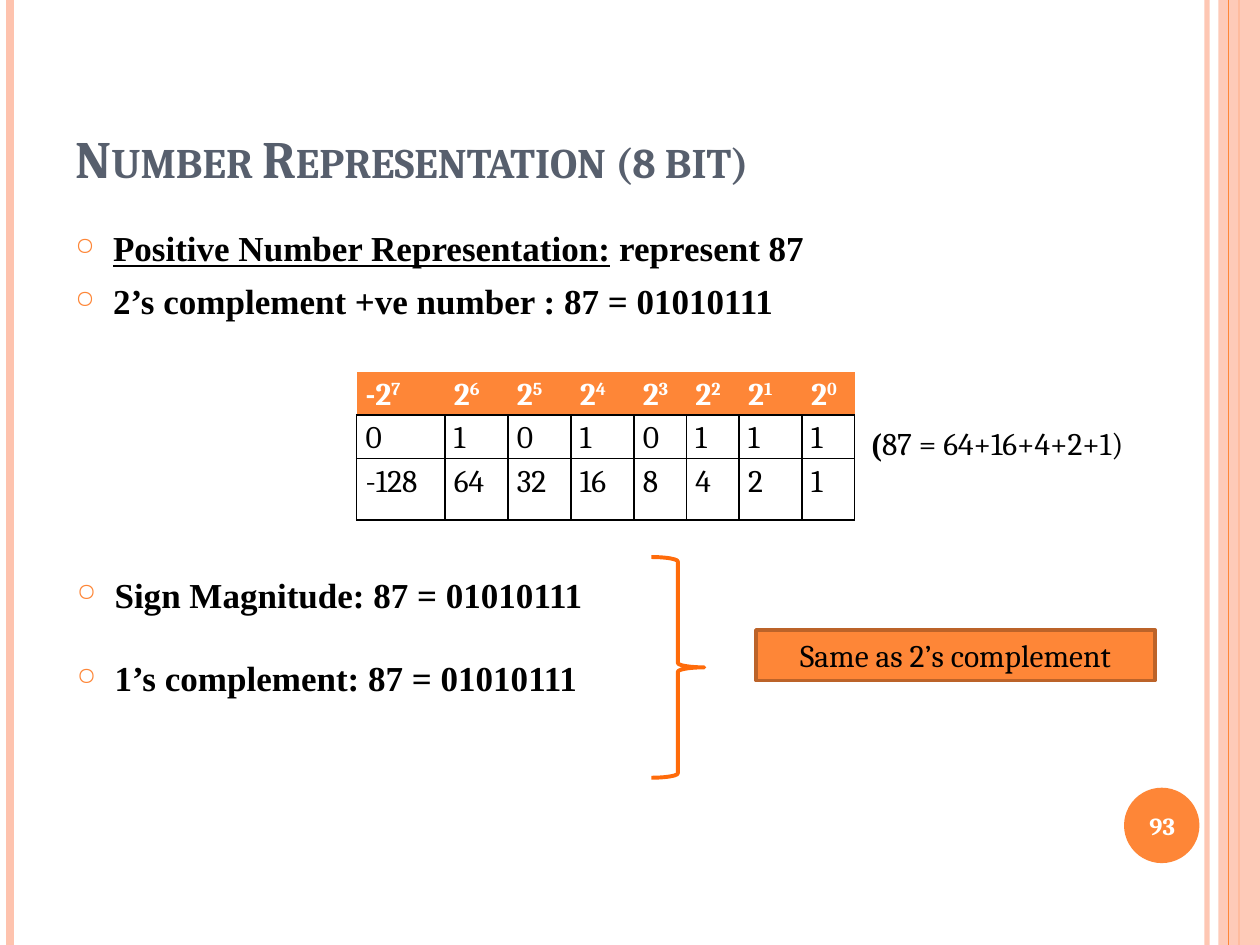
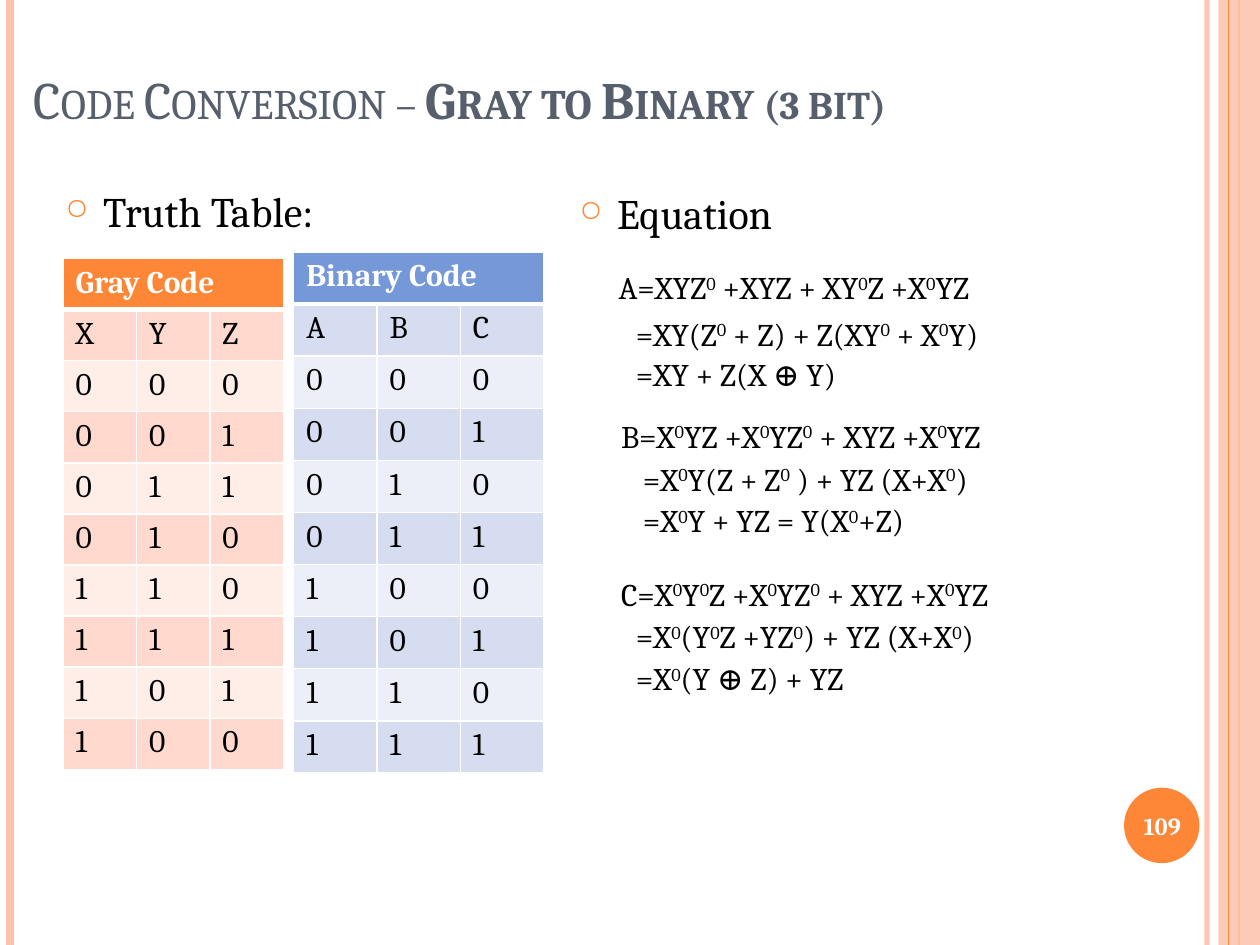
"""Build two slides on number representation and Gray to binary conversion."""
from dataclasses import dataclass, field
from typing import Any, Optional

from lxml import etree
from pptx import Presentation
from pptx import util as u
from pptx.dml import color as dml
from pptx.enum import shapes, text
from pptx.oxml import ns

ORANGE, PEACH, SLATE = "FE8637", "FEC3AE", "575F6D"
BLUE, BLACK, WHITE = "7598D9", "000000", "FFFFFF"
HEIGHT = 19.05

PLAIN = {"size": u.Pt(18), "name": "Cambria", "color": BLACK}
TITLE = PLAIN | {"size": u.Pt(30), "color": SLATE, "small": True}
TITLE_BOLD = TITLE | {"bold": True}
POINT = PLAIN | {"size": u.Pt(20), "name": "Times New Roman", "bold": True}
TOPIC = PLAIN | {"size": u.Pt(24)}
HEAD = PLAIN | {"color": WHITE, "bold": True}
NUMBER = HEAD | {"size": u.Pt(14)}


@dataclass
class Box:
    """Hold a position and size in centimetres."""
    left: float
    top: float
    width: float
    height: float

    def emu(self) -> list[u.Cm]:
        """Give the four lengths in the order the shape methods expect."""
        return [u.Cm(v) for v in (self.left, self.top, self.width, self.height)]


@dataclass
class Run:
    """Hold text in one format; ^ raises the character after it."""
    text: str
    fmt: dict[str, Any] = field(default_factory=lambda: PLAIN)


@dataclass
class Para:
    """Hold the runs and layout of one paragraph."""
    runs: list[Run]
    bullet: bool = False
    indent: float = 0
    fmt: dict[str, Any] = field(default_factory=dict)


@dataclass
class Rule:
    """Hold one vertical line of the slide frame."""
    x: float
    color: str
    width: float
    alpha: int = 100


@dataclass
class Grid:
    """Hold the place, contents and style of one table."""
    left: float
    top: float
    cols: list[float]
    rows: list[float]
    data: list[list[str]]
    head: str
    line: str
    bands: list[str] = field(default_factory=list)
    head_rule: float = 1
    head_sides: bool = True
    cell: dict[str, Any] = field(default_factory=dict)
    para: dict[str, Any] = field(default_factory=dict)


@dataclass
class Equation:
    """Hold one line of an equation."""
    top: float
    text: str
    indent: float = 0
    left: float = 12.27


RULES = [Rule(24.33, PEACH, 3, 93), Rule(0.2, PEACH, 4.5)]
CENTRE_RULE = Rule(24.97, ORANGE, 1.5)
EDGE_RULE = Rule(24.77, ORANGE, 0.75)

EQUATIONS = [
    Equation(5.28, "A=XYZ^0 +XYZ + XY^0Z +X^0YZ", left=12.22),
    Equation(6.22, "=XY(Z^0 + Z) + Z(XY^0 + X^0Y)", 0.3),
    Equation(7.04, "=XY + Z(X ⊕ Y)", 0.3),
    Equation(8.28, "B=X^0YZ +X^0YZ^0 + XYZ +X^0YZ"),
    Equation(9.14, "=X^0Y(Z + Z^0 ) + YZ (X+X^0)", 0.44),
    Equation(9.98, "=X^0Y + YZ = Y(X^0+Z)", 0.44),
    Equation(11.46, "C=X^0Y^0Z +X^0YZ^0 + XYZ +X^0YZ"),
    Equation(12.32, "=X^0(Y^0Z +YZ^0) + YZ (X+X^0)", 0.3),
    Equation(13.16, "=X^0(Y ⊕ Z) + YZ", 0.3),
]


def rgb(value: str) -> dml.RGBColor:
    """Turn a hex string into a colour."""
    return dml.RGBColor.from_string(value)


def apply(obj: Any, fmt: dict[str, Any]) -> None:
    """Set each attribute named in a format."""
    for key, value in fmt.items():
        setattr(obj, key, value)


def sub(parent: Any, tag: str, **attrs: Any) -> Any:
    """Append a DrawingML element."""
    return etree.SubElement(parent, ns.qn(f"a:{tag}"), {k: str(v) for k, v in attrs.items()})


def paint(fill: Any, value: Optional[str]) -> None:
    """Make a fill solid, or empty without a colour."""
    if value:
        fill.solid()
        fill.fore_color.rgb = rgb(value)
    else:
        fill.background()


def fade(sp: Any, alpha: int) -> None:
    """Make the first colour of a shape partly transparent."""
    if alpha < 100:
        sub(next(sp._element.spPr.iter(ns.qn("a:srgbClr"))), "alpha", val=alpha * 1000)


def add_run(p: Any, run: Run) -> None:
    """Write a run, raising the characters marked with ^."""
    first, *raised = run.text.split("^")
    pieces = [(first, False)]
    for part in raised:
        pieces += [(part[0], True), (part[1:], False)]
    for piece, high in pieces:
        if not piece:
            continue
        r = p.add_run()
        r.text = piece
        apply(r.font, {k: v for k, v in run.fmt.items() if k not in ("color", "small")})
        r.font.color.rgb = rgb(run.fmt["color"])
        rPr = r._r.get_or_add_rPr()
        if high:
            rPr.set("baseline", "30000")
        if run.fmt.get("small"):
            rPr.set("cap", "small")


def write(tf: Any, paras: list[Para]) -> None:
    """Fill a text frame with paragraphs."""
    for i, para in enumerate(paras):
        p = tf.add_paragraph() if i else tf.paragraphs[0]
        if i:
            p.space_before = u.Pt(6)
        apply(p, para.fmt)
        pPr = p._p.get_or_add_pPr()
        if para.bullet:
            pPr.set("marL", str(u.Cm(0.76)))
            pPr.set("indent", str(u.Cm(-0.76)))
            sub(sub(pPr, "buClr"), "srgbClr", val=ORANGE)
            sub(pPr, "buSzPct", val=70000)
            sub(pPr, "buChar", char="○")
        elif para.indent:
            pPr.set("marL", str(u.Cm(para.indent)))
        for run in para.runs:
            add_run(p, run)


def add_text(s: Any, box: Box, *paras: Para, anchor: Any = text.MSO_ANCHOR.TOP) -> None:
    """Add a wrapping text box."""
    tf = s.shapes.add_textbox(*box.emu()).text_frame
    apply(tf, {"word_wrap": True, "vertical_anchor": anchor})
    write(tf, list(paras))


def add_shape(s: Any, kind: Any, box: Box, fill: Optional[str] = None,
              line: Optional[str] = None, width: float = 1) -> Any:
    """Add a preset shape without a shadow."""
    sp = s.shapes.add_shape(kind, *box.emu())
    sp.shadow.inherit = False
    paint(sp.fill, fill)
    paint(sp.line.fill, line)
    if line:
        sp.line.width = u.Pt(width)
    return sp


def add_rule(s: Any, rule: Rule) -> Any:
    """Add a line from the top to the bottom of the slide."""
    x = u.Cm(rule.x)
    sp = s.shapes.add_connector(shapes.MSO_CONNECTOR.STRAIGHT, x, 0, x, u.Cm(HEIGHT))
    paint(sp.line.fill, rule.color)
    sp.line.width = u.Pt(rule.width)
    fade(sp, rule.alpha)
    sub(sp._element.spPr, "effectLst")
    return sp


def set_borders(cell: Any, color: str, widths: dict[str, float]) -> None:
    """Draw the four cell borders; a zero width hides one."""
    tcPr = cell._tc.get_or_add_tcPr()
    for side, width in widths.items():
        ln = sub(tcPr, f"ln{side}", w=u.Pt(width))
        if width:
            sub(sub(ln, "solidFill"), "srgbClr", val=color)
        else:
            sub(ln, "noFill")


def add_grid(s: Any, grid: Grid) -> None:
    """Add a table with a coloured header row."""
    box = Box(grid.left, grid.top, sum(grid.cols), sum(grid.rows))
    table = s.shapes.add_table(len(grid.rows), len(grid.cols), *box.emu()).table
    apply(table, {"first_row": False, "horz_banding": False})
    for col, width in zip(table.columns, grid.cols):
        col.width = u.Cm(width)
    for i, (row, height) in enumerate(zip(table.rows, grid.rows)):
        row.height = u.Cm(height)
        side = 1 if i or grid.head_sides else 0
        widths = {"L": side, "R": side, "T": grid.head_rule if i == 1 else side,
                  "B": 1 if i else grid.head_rule}
        band = grid.bands[(i - 1) % len(grid.bands)] if grid.bands else None
        for cell in row.cells:
            set_borders(cell, grid.line, widths)
            paint(cell.fill, band if i else grid.head)
            apply(cell, grid.cell)
        for cell, value in zip(row.cells, grid.data[i]):
            write(cell.text_frame, [Para([Run(value, PLAIN if i else HEAD)], fmt=grid.para)])
    if len(grid.data[0]) == 1:
        table.cell(0, 0).merge(table.cell(0, len(grid.cols) - 1))


def add_frame(prs: Any, number: int, title_box: Box, title: list[Run]) -> Any:
    """Add a slide with its side bands, page number and title."""
    s = prs.slides.add_slide(prs.slide_layouts[6])
    for rule in RULES:
        add_rule(s, rule)
    centre = add_rule(s, CENTRE_RULE)
    band = add_shape(s, shapes.MSO_SHAPE.RECTANGLE, Box(24.56, 0, 0.84, HEIGHT), PEACH)
    fade(band, 87)
    centre.begin_connect(band, 0)
    centre.end_connect(band, 2)
    add_rule(s, EDGE_RULE)
    add_shape(s, shapes.MSO_SHAPE.OVAL, Box(22.66, 15.88, 1.52, 1.52), ORANGE)
    add_text(s, title_box, Para(title), anchor=text.MSO_ANCHOR.BOTTOM)
    add_text(s, Box(22.58, 15.93, 1.7, 1.45),
             Para([Run(str(number), NUMBER)], fmt={"alignment": text.PP_ALIGN.CENTER}),
             anchor=text.MSO_ANCHOR.MIDDLE)
    return s


def add_representation(prs: Any) -> None:
    """Add the slide that represents 87 in eight bits."""
    s = add_frame(prs, 93, Box(1.27, 0.76, 20.75, 3.18),
                  [Run("Number Representation (8 bit)", TITLE_BOLD)])
    add_text(s, Box(1.27, 4.45, 22.66, 2.54),
             Para([Run("Positive Number Representation:", POINT | {"underline": True}),
                   Run(" represent 87", POINT)], bullet=True),
             Para([Run("2’s complement +ve number : 87 = 01010111", POINT)], bullet=True))
    powers = range(7, -1, -1)
    data = [[f"{'-' if n == 7 else ''}2^{n}" for n in powers], list(format(87, "08b")),
            [str(-128 if n == 7 else 2 ** n) for n in powers]]
    add_grid(s, Grid(7.19, 7.49, [1.78, 1.27, 1.27, 1.27, 1.06, 1.06, 1.27, 1.06],
                     [0.81, 0.69, 1.24], data, ORANGE, BLACK, head_sides=False,
                     cell={"margin_left": u.Cm(0.18), "margin_right": u.Cm(0.18),
                           "margin_top": 0, "margin_bottom": 0},
                     para={"line_spacing": 1.15}))
    add_text(s, Box(17.32, 8.43, 6.63, 1.02),
             Para([Run("(", POINT | {"size": u.Pt(18)}), Run("87 = 64+16+4+2+1)")]))
    for top, name in ((11.43, "Sign Magnitude"), (13.11, "1’s complement")):
        add_text(s, Box(1.3, top, 13.54, 1.27),
                 Para([Run(f"{name}: 87 = 01010111", POINT)], bullet=True))
    add_shape(s, shapes.MSO_SHAPE.RIGHT_BRACE, Box(13.13, 11.23, 1.07, 4.45),
              line="FF6B0A", width=2.25)
    sp = add_shape(s, shapes.MSO_SHAPE.RECTANGLE, Box(15.24, 12.7, 8.05, 1.02),
                   ORANGE, "BC6329", 2)
    sp.text_frame.vertical_anchor = text.MSO_ANCHOR.MIDDLE
    write(sp.text_frame, [Para([Run("Same as 2’s complement")],
                               fmt={"alignment": text.PP_ALIGN.CENTER})])


def add_conversion(prs: Any) -> None:
    """Add the slide that converts Gray code to binary."""
    s = add_frame(prs, 109, Box(0.43, -0.43, 23.29, 3.18),
                  [Run("Code Conversion – ", TITLE), Run("Gray to Binary ", TITLE_BOLD),
                   Run("(3 bit)", TITLE_BOLD | {"size": u.Pt(28)})])
    binary = [list(format(n, "03b")) for n in range(8)]
    gray = [list(format(n ^ n >> 1, "03b")) for n in range(8)]
    add_grid(s, Grid(5.92, 5.08, [1.68] * 3, [1.05] * 10, [["Binary Code"], list("ABC"), *binary],
                     BLUE, WHITE, ["D6DDF1", "ECEFF8"], 3))
    add_grid(s, Grid(1.27, 5.21, [1.48] * 3, [1.03] * 10, [["Gray Code"], list("XYZ"), *gray],
                     ORANGE, WHITE, ["FFD9CE", "FFEDE8"], 3))
    for left, top, topic in ((11.43, 3.66, "Equation"), (1.07, 3.61, "Truth Table:")):
        add_text(s, Box(left, top, 10, 1.7), Para([Run(topic, TOPIC)], bullet=True))
    for eq in EQUATIONS:
        add_text(s, Box(eq.left, eq.top, 10.59, 1.02), Para([Run(eq.text)], indent=eq.indent))


def main() -> None:
    """Build and save the presentation."""
    prs = Presentation()
    apply(prs, {"slide_width": u.Cm(25.4), "slide_height": u.Cm(HEIGHT)})
    add_representation(prs)
    add_conversion(prs)
    prs.save("out.pptx")


if __name__ == "__main__":
    main()
